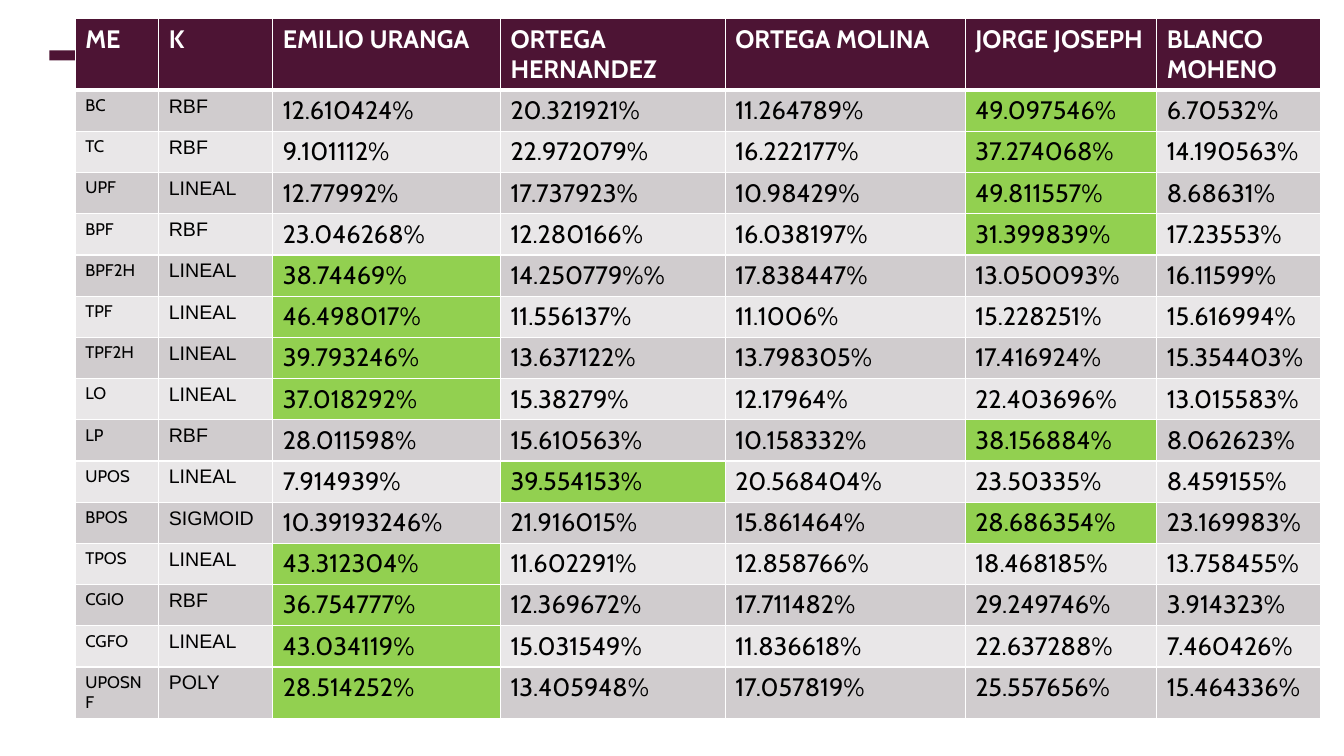
from dataclasses import dataclass

from lxml import etree
from pptx import Presentation
from pptx import util as u
from pptx.dml.color import RGBColor
from pptx.enum import shapes
from pptx.oxml import ns

COLORS = {
    "plum": "4D1434",
    "magenta": "903163",
    "steel": "969FA7",
    "odd": "D0CCCE",
    "even": "E9E7E8",
    "best": "92D050",
    "white": "FFFFFF",
    "black": "000000",
}


@dataclass
class Bar:
    left: float
    color: str


@dataclass
class CellStyle:
    fill: str
    font: str = "Cabin"
    size: int = 18
    color: str = "black"
    bold: bool = False
    top: int = 1
    bottom: int = 1


@dataclass
class Result:
    method: str
    kernel: str
    scores: str


BARS = [Bar(35.3 + 298.8 * i, c) for i, c in enumerate(("plum", "magenta", "steel"))]
WIDTHS = [59.6, 81.4, 162.7, 160.6, 171.4, 136.8, 117.4]
HEADERS = ["ME", "K", "EMILIO URANGA", "ORTEGA\nHERNANDEZ", "ORTEGA MOLINA",
           "JORGE JOSEPH", "BLANCO MOHENO"]
RESULTS = [
    Result("BC", "RBF", "12.610424% 20.321921% 11.264789% 49.097546% 6.70532%"),
    Result("TC", "RBF", "9.101112% 22.972079% 16.222177% 37.274068% 14.190563%"),
    Result("UPF", "LINEAL", "12.77992% 17.737923% 10.98429% 49.811557% 8.68631%"),
    Result("BPF", "RBF", "23.046268% 12.280166% 16.038197% 31.399839% 17.23553%"),
    Result("BPF2H", "LINEAL", "38.74469% 14.250779%% 17.838447% 13.050093% 16.11599%"),
    Result("TPF", "LINEAL", "46.498017% 11.556137% 11.1006% 15.228251% 15.616994%"),
    Result("TPF2H", "LINEAL", "39.793246% 13.637122% 13.798305% 17.416924% 15.354403%"),
    Result("LO", "LINEAL", "37.018292% 15.38279% 12.17964% 22.403696% 13.015583%"),
    Result("LP", "RBF", "28.011598% 15.610563% 10.158332% 38.156884% 8.062623%"),
    Result("UPOS", "LINEAL", "7.914939% 39.554153% 20.568404% 23.50335% 8.459155%"),
    Result("BPOS", "SIGMOID", "10.39193246% 21.916015% 15.861464% 28.686354% 23.169983%"),
    Result("TPOS", "LINEAL", "43.312304% 11.602291% 12.858766% 18.468185% 13.758455%"),
    Result("CGIO", "RBF", "36.754777% 12.369672% 17.711482% 29.249746% 3.914323%"),
    Result("CGFO", "LINEAL", "43.034119% 15.031549% 11.836618% 22.637288% 7.460426%"),
    Result("UPOSNF", "POLY", "28.514252% 13.405948% 17.057819% 25.557656% 15.464336%"),
]
HEADER_HEIGHT = 50
ROW_HEIGHT = 29.45


def rgb(name: str) -> RGBColor:
    return RGBColor.from_string(COLORS[name])


def draw_bar(s, bar: Bar) -> None:
    sp = s.shapes.add_shape(shapes.MSO_SHAPE.RECTANGLE, u.Pt(bar.left), u.Pt(36),
                            u.Pt(291.6), u.Pt(7.2))
    sp.shadow.inherit = False
    sp.fill.solid()
    sp.fill.fore_color.rgb = rgb(bar.color)
    sp.line.fill.background()


def set_borders(cell, style: CellStyle) -> None:
    tc_pr = cell._tc.get_or_add_tcPr()
    edges = {"a:lnL": 1, "a:lnR": 1, "a:lnT": style.top, "a:lnB": style.bottom}
    for tag, width in edges.items():
        ln = etree.SubElement(tc_pr, ns.qn(tag), w=str(u.Pt(width)))
        solid = etree.SubElement(ln, ns.qn("a:solidFill"))
        etree.SubElement(solid, ns.qn("a:srgbClr"), val=COLORS["white"])


def write_cell(cell, content: str, style: CellStyle) -> None:
    set_borders(cell, style)
    cell.fill.solid()
    cell.fill.fore_color.rgb = rgb(style.fill)
    tf = cell.text_frame
    for i, line in enumerate(content.split("\n")):
        p = tf.add_paragraph() if i else tf.paragraphs[0]
        r = p.add_run()
        r.text = line
        r.font.name = style.font
        r.font.size = u.Pt(style.size)
        r.font.bold = style.bold
        r.font.color.rgb = rgb(style.color)


def write_result(table, row: int, result: Result) -> None:
    band = "odd" if row % 2 else "even"
    top = 3 if row == 1 else 1
    scores = result.scores.split()
    best = max(scores, key=lambda score: float(score.rstrip("%")))
    write_cell(table.cell(row, 0), result.method, CellStyle(band, size=12, top=top))
    write_cell(table.cell(row, 1), result.kernel,
               CellStyle(band, font="Arial", size=14, top=top))
    for col, score in enumerate(scores, start=2):
        fill = "best" if score == best else band
        write_cell(table.cell(row, col), score, CellStyle(fill, top=top))


def draw_table(s) -> None:
    height = HEADER_HEIGHT + ROW_HEIGHT * len(RESULTS)
    table = s.shapes.add_table(len(RESULTS) + 1, len(HEADERS), u.Pt(53.8), u.Pt(13.3),
                               u.Pt(sum(WIDTHS)), u.Pt(height)).table
    for column, width in zip(table.columns, WIDTHS):
        column.width = u.Pt(width)
    for i, row in enumerate(table.rows):
        row.height = u.Pt(ROW_HEIGHT if i else HEADER_HEIGHT)
    header_style = CellStyle("plum", color="white", bold=True, bottom=3)
    for col, header in enumerate(HEADERS):
        write_cell(table.cell(0, col), header, header_style)
    for row, result in enumerate(RESULTS, start=1):
        write_result(table, row, result)


def main() -> None:
    prs = Presentation()
    prs.slide_width = u.Pt(960)
    prs.slide_height = u.Pt(540)
    s = prs.slides.add_slide(prs.slide_layouts[6])
    for bar in BARS:
        draw_bar(s, bar)
    draw_table(s)
    prs.save("out.pptx")


if __name__ == "__main__":
    main()
